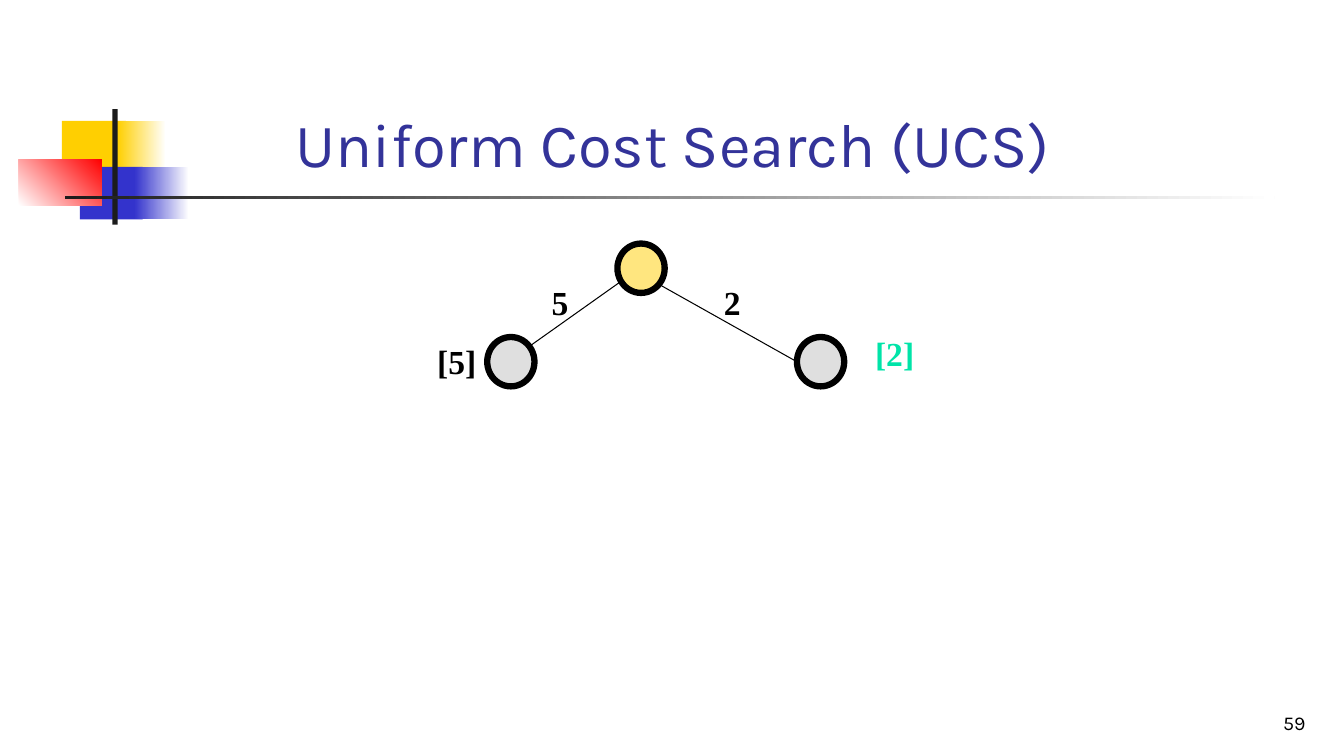
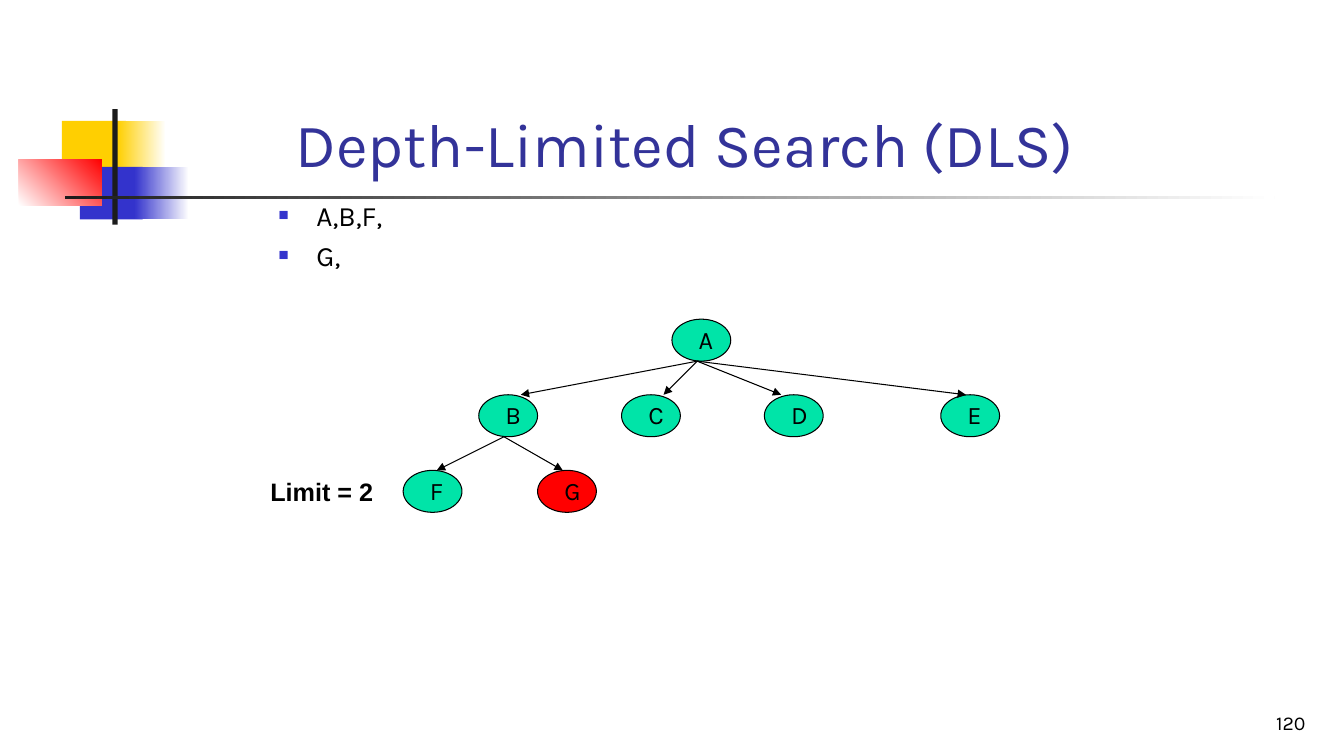
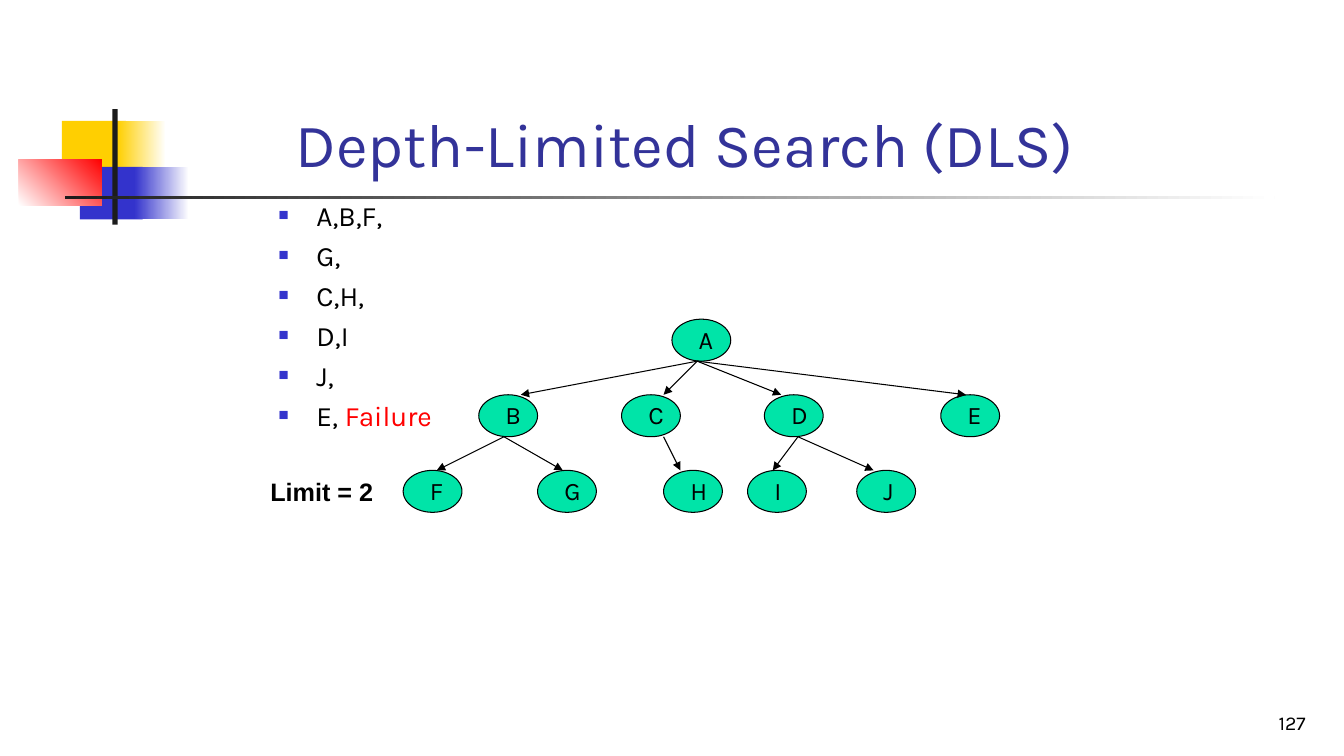
"""Build three slides on uniform cost search and depth-limited search."""
from lxml.etree import SubElement
from pptx import Presentation
from pptx.dml.color import RGBColor
from pptx.enum.shapes import MSO_CONNECTOR as Connector, MSO_SHAPE as Shape
from pptx.enum.text import MSO_ANCHOR as Anchor, MSO_AUTO_SIZE as AutoSize, PP_ALIGN as Align
from pptx.oxml.ns import qn
from pptx.util import Pt

PX = 9525
COLOURS = {
    "black": "000000", "white": "FFFFFF", "ink": "1C1C1C", "title": "333399",
    "yellow": "FFCF01", "blue": "3333CC", "red": "FF0000", "green": "00E4A8", "grey": "C0C0C0",
}

BANDS = [
    ((59, 115, 61, 50), ("yellow",), 0),
    ((112, 115, 46, 50), ("yellow", "white"), 0),
    ((76, 159, 60, 50), ("blue",), 0),
    ((128, 159, 52, 50), ("blue", "white"), 0),
    ((18, 152, 79, 44), ("white", "red"), 45),
    ((107, 104, 5, 110), ("ink",), 0),
    ((62, 187, 1152, 3), ("ink", "white"), 0),
]
TITLE_BOX = (272, 56, 816, 120)
NUMBER_BOX = (986, 656, 267, 48)

COST_NODE_SIZE = (45, 47)
COST_NODES = [((588, 232), "yellow"), ((464, 321), "grey"), ((759, 321), "grey")]
COST_EDGES = [((590, 269), (504, 330)), ((628, 271), (758, 344))]
COST_LABELS = [
    ("2", (680, 264, 36, 48), "black"),
    ("5", (516, 264, 36, 48), "black"),
    ("[5]", (407, 320, 57, 48), "black"),
    ("[2]", (824, 312, 57, 48), "green"),
]

NODE_WIDTH, NODE_HEIGHT = 56, 40
TREE_TOP, LEVEL_STEP = 304, 72
LABEL_SHIFT = 16
NODES = {
    "A": (640, 0), "B": (456, 1), "C": (592, 1), "E": (896, 1), "D": (728, 1),
    "F": (384, 2), "G": (512, 2), "H": (632, 2), "I": (712, 2), "J": (816, 2),
}
EDGES = ["AB", "AC", "AD", "AE", "BF", "BG", "CH", "DI", "DJ"]
EXIT_SHIFT = {"A": 24, "B": 24, "C": 40, "D": 32}
ENTRY_SHIFT = {"B": 40, "C": 40, "D": 16, "E": 24, "F": 32, "G": 24, "H": 16, "I": 24, "J": 16}
VISITED_BOX = (256, 184, 816, 88)
LIMIT_BOX = (248, 449, 128, 38)

DEPTH_SLIDES = [
    {"number": 120, "visited": ["A,B,F,", "G,"], "nodes": "ABCEDFG", "current": "G"},
    {"number": 127,
     "visited": ["A,B,F,", "G,", "C,H,", "D,I", "J,", [("E, ", "black"), ("Failure", "red")]],
     "nodes": "ABCEDFGHIJ", "current": ""},
]


def rgb(name):
    return RGBColor.from_string(COLOURS[name])


def emu(lengths):
    return [length * PX for length in lengths]


def add_bullet(paragraph):
    props = paragraph._p.get_or_add_pPr()
    props.set("marL", str(36 * PX))
    props.set("indent", str(-36 * PX))
    colour = SubElement(props, qn("a:buClr"))
    SubElement(colour, qn("a:srgbClr"), val=COLOURS["blue"])
    SubElement(props, qn("a:buSzPct"), val="60000")
    SubElement(props, qn("a:buFont"), typeface="Arial")
    SubElement(props, qn("a:buChar"), char="■")


def add_text(shapes, box, content, size=18, font="Karla", colour="black", bold=False,
             align=None, anchor=Anchor.TOP, wrap=True, grow=False, bullets=False, gap=0):
    frame = shapes.add_textbox(*emu(box)).text_frame
    frame.word_wrap = wrap
    frame.auto_size = AutoSize.SHAPE_TO_FIT_TEXT if grow else AutoSize.NONE
    frame.vertical_anchor = anchor
    for index, line in enumerate([content] if isinstance(content, str) else content):
        paragraph = frame.add_paragraph() if index else frame.paragraphs[0]
        if bullets:
            add_bullet(paragraph)
        if index and gap:
            paragraph.space_before = Pt(gap)
        if align is not None:
            paragraph.alignment = align
        for words, run_colour in [(line, colour)] if isinstance(line, str) else line:
            run = paragraph.add_run()
            run.text = words
            run.font.name, run.font.size, run.font.bold = font, Pt(size), bold
            run.font.color.rgb = rgb(run_colour)


def add_filled(shapes, kind, box, fills, angle=0, line=None, alpha=None):
    shape = shapes.add_shape(kind, *emu(box))
    shape.shadow.inherit = False
    if len(fills) > 1:
        shape.fill.gradient()
        shape.fill.gradient_angle = angle
        for stop, name in zip(shape.fill.gradient_stops, fills):
            stop.color.rgb = rgb(name)
    else:
        shape.fill.solid()
        shape.fill.fore_color.rgb = rgb(fills[0])
    if alpha:
        colour = shape.element.spPr.find(qn("a:solidFill"))[0]
        SubElement(colour, qn("a:alpha"), val=str(alpha * 1000))
    if line:
        shape.line.color.rgb = rgb("black")
        shape.line.width = Pt(line)
    else:
        shape.line.fill.background()


def add_edge(shapes, start, end, arrow=False):
    edge = shapes.add_connector(Connector.STRAIGHT, *emu(start + end))
    edge.line.color.rgb = rgb("black")
    edge.line.width = Pt(0.75)
    props = edge.element.spPr
    if arrow:
        SubElement(props.find(qn("a:ln")), qn("a:tailEnd"), type="triangle")
    SubElement(props, qn("a:effectLst"))


def start_slide(deck, title, number):
    shapes = deck.slides.add_slide(deck.slide_layouts[6]).shapes
    for box, fills, angle in BANDS:
        add_filled(shapes, Shape.RECTANGLE, box, fills, angle)
    add_text(shapes, NUMBER_BOX, str(number), size=14, align=Align.RIGHT, anchor=Anchor.BOTTOM)
    add_text(shapes, TITLE_BOX, title, size=44, colour="title", anchor=Anchor.BOTTOM)
    return shapes


def build_cost_slide(deck):
    tree = start_slide(deck, "Uniform Cost Search (UCS)", 59).add_group_shape().shapes
    for corner, fill in COST_NODES:
        add_filled(tree, Shape.OVAL, corner + COST_NODE_SIZE, (fill,), line=4.5, alpha=50)
    for start, end in COST_EDGES:
        add_edge(tree, start, end)
    for label, box, colour in COST_LABELS:
        add_text(tree, box, label, size=24, font="Times New Roman", colour=colour,
                 bold=True, wrap=False, grow=True)


def node_corner(name):
    left, level = NODES[name]
    return left, TREE_TOP + level * LEVEL_STEP


def build_depth_slide(deck, number, visited, nodes, current):
    shapes = start_slide(deck, "Depth-Limited Search (DLS)", number)
    add_text(shapes, VISITED_BOX, visited, size=20, bullets=True, gap=4.6)
    for name in nodes:
        left, top = node_corner(name)
        node = shapes.add_group_shape().shapes
        fill = "red" if name == current else "green"
        add_filled(node, Shape.OVAL, (left, top, NODE_WIDTH, NODE_HEIGHT), (fill,), line=0.75)
        add_text(node, (left + LABEL_SHIFT, top, 40, 38), name, grow=True)
    for parent, child in EDGES:
        if child in nodes:
            parent_left, parent_top = node_corner(parent)
            child_left, child_top = node_corner(child)
            add_edge(shapes, (parent_left + EXIT_SHIFT[parent], parent_top + NODE_HEIGHT),
                     (child_left + ENTRY_SHIFT[child], child_top), arrow=True)
    add_text(shapes, LIMIT_BOX, "Limit = 2", font="Arial", bold=True, grow=True)


def main():
    deck = Presentation()
    deck.slide_width, deck.slide_height = emu((1280, 720))
    build_cost_slide(deck)
    for content in DEPTH_SLIDES:
        build_depth_slide(deck, **content)
    deck.save("out.pptx")


if __name__ == "__main__":
    main()
